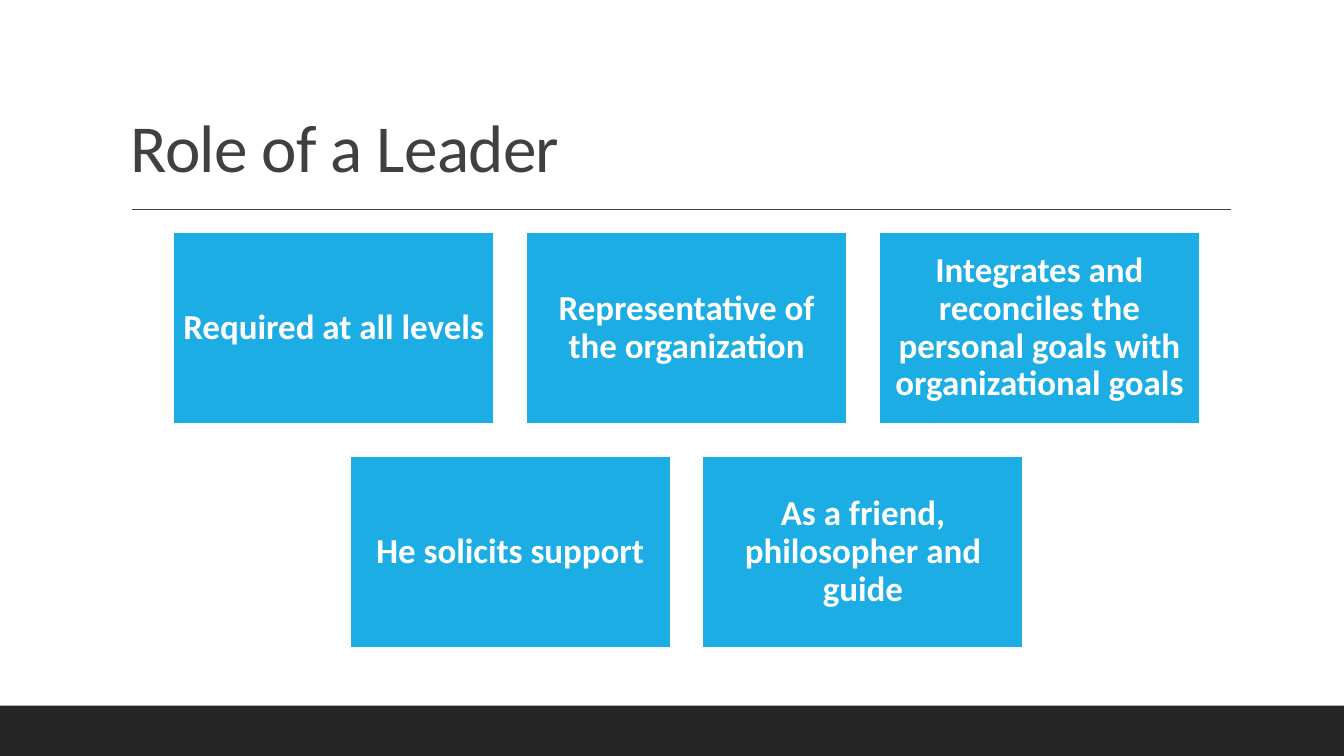
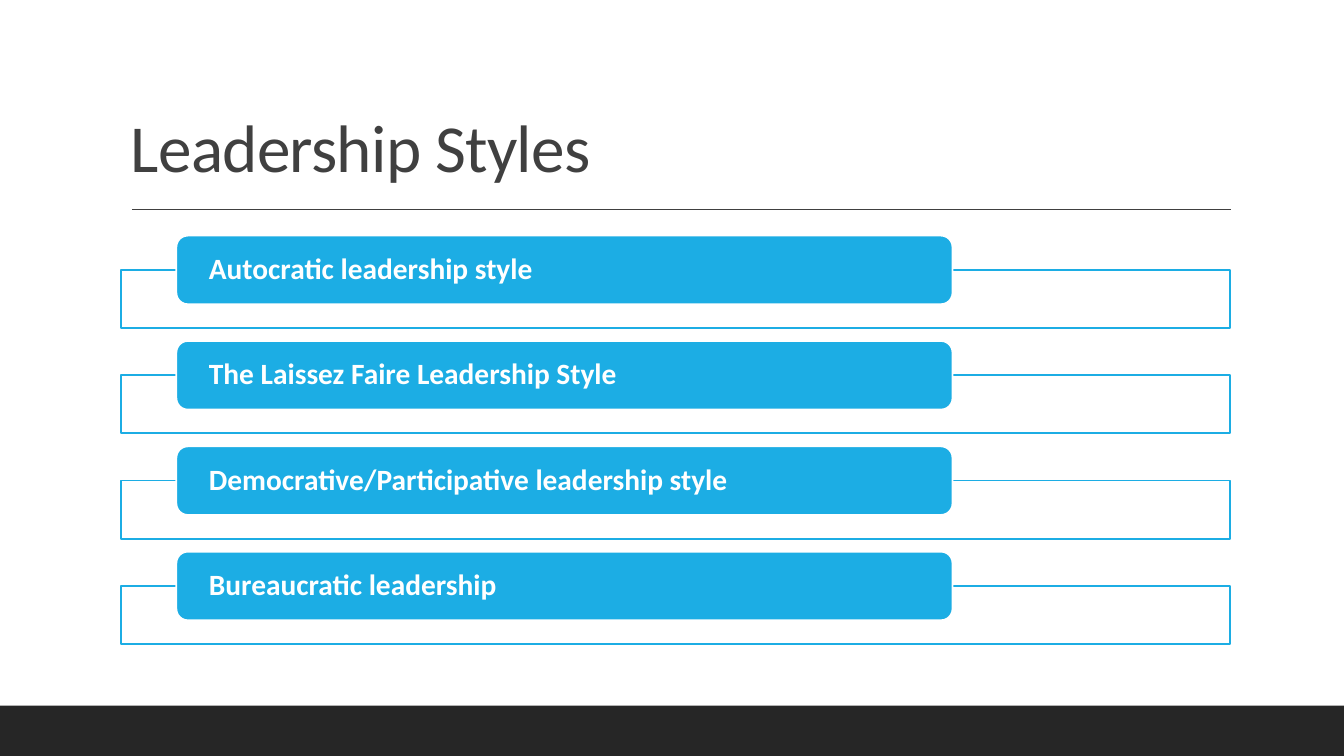
from dataclasses import dataclass
from typing import NamedTuple

from lxml.etree import SubElement
from pptx import Presentation
from pptx.dml.color import RGBColor as Color
from pptx.enum.shapes import MSO_CONNECTOR as Connector
from pptx.enum.shapes import MSO_SHAPE as Preset
from pptx.enum.text import MSO_ANCHOR as Anchor
from pptx.enum.text import PP_ALIGN as Align
from pptx.oxml.ns import qn
from pptx.util import Pt


class Box(NamedTuple):
    left: float
    top: float
    width: float
    height: float

    def in_points(self):
        return [Pt(value) for value in self]


@dataclass(frozen=True)
class Theme:
    font: str = "Calibri"
    title_color: Color = Color(0x40, 0x40, 0x40)
    band_color: Color = Color(0x26, 0x26, 0x26)
    accent: Color = Color(0x1C, 0xAD, 0xE4)
    white: Color = Color(0xFF, 0xFF, 0xFF)
    title_size: int = 48
    card_size: int = 25
    style_size: int = 21
    title_spacing: int = -50
    line_spacing: float = 0.9
    rule_width: float = 1
    outline_width: float = 1.25


THEME = Theme()
SLIDE_WIDTH, SLIDE_HEIGHT = 960, 540
TITLE_BOX = Box(86.4, 22.3, 792, 114.5)
RULE_BOX = Box(94.3, 149.8, 784.8, 0)
BAND_BOX = Box(0, 504, SLIDE_WIDTH, 36)
CARDS_BOX = Box(123.8, 165.6, 733.2, 297.4)
STYLES_BOX = Box(86.4, 168.3, 792, 291.8)

ROLES = [
    ["Required at all levels", "Representative of the organization",
     "Integrates and reconciles the personal goals with organizational goals"],
    ["He solicits support", "As a friend, philosopher and guide"],
]
STYLES = [
    "Autocratic leadership style",
    "The Laissez Faire Leadership Style",
    "Democrative/Participative leadership style",
    "Bureaucratic leadership",
]


def write_text(shape, text, size, color, bold=False, align=Align.LEFT,
               anchor=Anchor.MIDDLE, insets=(7.2, 3.6)):
    frame = shape.text_frame
    frame.text = text
    frame.word_wrap = True
    frame.vertical_anchor = anchor
    frame.margin_left = frame.margin_right = Pt(insets[0])
    frame.margin_top = frame.margin_bottom = Pt(insets[1])
    paragraph = frame.paragraphs[0]
    paragraph.alignment = align
    paragraph.line_spacing = THEME.line_spacing
    run = paragraph.runs[0]
    run.font.name = THEME.font
    run.font.size = Pt(size)
    run.font.bold = bold
    run.font.color.rgb = color
    return run


def add_block(slide, preset, box, fill, outline=None):
    shape = slide.shapes.add_shape(preset, *box.in_points())
    shape.shadow.inherit = False
    shape.fill.solid()
    shape.fill.fore_color.rgb = fill
    if outline is None:
        shape.line.fill.background()
    else:
        shape.line.color.rgb = outline
        shape.line.width = Pt(THEME.outline_width)
    return shape


def add_rule(slide, box):
    left, top, width, height = box.in_points()
    rule = slide.shapes.add_connector(
        Connector.STRAIGHT, left, top, left + width, top + height)
    rule.line.color.rgb = THEME.title_color
    rule.line.width = Pt(THEME.rule_width)
    SubElement(rule._element.spPr, qn("a:effectLst"))


def add_titled_slide(presentation, title):
    slide = presentation.slides.add_slide(presentation.slide_layouts[6])
    title_shape = slide.shapes.add_textbox(*TITLE_BOX.in_points())
    run = write_text(title_shape, title, THEME.title_size, THEME.title_color,
                     anchor=Anchor.BOTTOM)
    run.font._element.set("spc", str(THEME.title_spacing))
    add_rule(slide, RULE_BOX)
    add_block(slide, Preset.RECTANGLE, BAND_BOX, THEME.band_color)
    return slide


def add_card_grid(slide, box, rows, gap=22.9):
    columns = max(len(row) for row in rows)
    width = (box.width - gap * (columns - 1)) / columns
    height = (box.height - gap * (len(rows) - 1)) / len(rows)
    for row_index, row in enumerate(rows):
        row_width = len(row) * (width + gap) - gap
        left = box.left + (box.width - row_width) / 2
        top = box.top + row_index * (height + gap)
        for column_index, text in enumerate(row):
            card_box = Box(left + column_index * (width + gap), top, width, height)
            card = add_block(slide, Preset.RECTANGLE, card_box,
                             THEME.accent, THEME.white)
            write_text(card, text, THEME.card_size, THEME.white, bold=True,
                       align=Align.CENTER, insets=(7.2, 7.2))


def add_style_list(slide, box, styles, gap=9.2):
    item_height = (box.height - gap * (len(styles) - 1)) / len(styles)
    label_height = 49
    for index, text in enumerate(styles):
        top = box.top + index * (item_height + gap)
        frame_box = Box(box.left, top + label_height / 2,
                        box.width, item_height - label_height / 2)
        label_box = Box(box.left + box.width * 0.05, top,
                        box.width * 0.7, label_height)
        add_block(slide, Preset.RECTANGLE, frame_box, THEME.white, THEME.accent)
        label = add_block(slide, Preset.ROUNDED_RECTANGLE, label_box,
                          THEME.accent, THEME.white)
        write_text(label, text, THEME.style_size, THEME.white, bold=True,
                   insets=(20.9, 0))


def main():
    presentation = Presentation()
    presentation.slide_width = Pt(SLIDE_WIDTH)
    presentation.slide_height = Pt(SLIDE_HEIGHT)
    add_card_grid(add_titled_slide(presentation, "Role of a Leader"),
                  CARDS_BOX, ROLES)
    add_style_list(add_titled_slide(presentation, "Leadership Styles"),
                   STYLES_BOX, STYLES)
    presentation.save("out.pptx")


if __name__ == "__main__":
    main()
